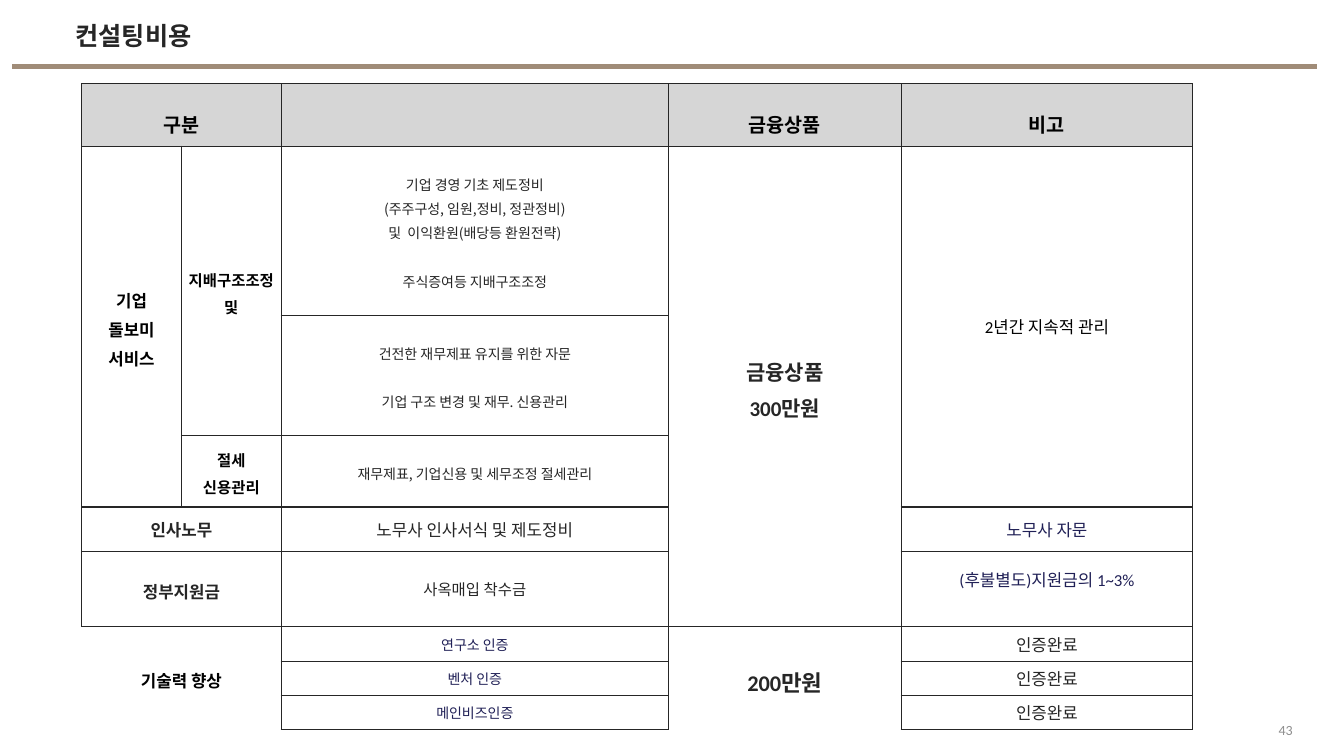
"""Build the consulting fee slide: a title, a rule, a merged fee table and a page number."""
from dataclasses import dataclass

from lxml import etree
from pptx import Presentation
from pptx.dml.color import RGBColor
from pptx.enum.shapes import MSO_CONNECTOR
from pptx.enum.text import MSO_ANCHOR, PP_ALIGN
from pptx.oxml.ns import qn
from pptx.util import Inches, Pt

CENTER, LEFT, RIGHT = PP_ALIGN.CENTER, PP_ALIGN.LEFT, PP_ALIGN.RIGHT
MIDDLE = MSO_ANCHOR.MIDDLE
STRAIGHT = MSO_CONNECTOR.STRAIGHT
TITLE_ONLY = 5


@dataclass(frozen=True)
class Theme:
    """Colours, fonts and type sizes of the slide."""
    black: str = "000000"
    ink: str = "262626"
    navy: str = "202056"
    grey: str = "8E8E8E"
    rule: str = "A08C78"
    header: str = "D6D6D6"
    white: str = "FFFFFF"
    latin: str = "Calibri"
    sans: str = "Noto Sans CJK JP"
    korean: str = "Noto Sans CJK KR"
    title: float = 18
    total: float = 16
    price: float = 15
    head: float = 14
    body: float = 12
    label: float = 11
    small: float = 10


T = Theme()


@dataclass(frozen=True)
class Style:
    """Look of a paragraph."""
    size: float
    color: str = T.ink
    bold: bool = False
    font: str = T.latin
    spacing: float = 1.0
    align: PP_ALIGN = CENTER


@dataclass(frozen=True)
class Entry:
    """A table cell with its span, lines and the lines that follow a gap."""
    row: int
    col: int
    lines: tuple[str, ...]
    style: Style
    rows: int = 1
    cols: int = 1
    fill: str = T.white
    gap_before: tuple[int, ...] = ()
    bottom: float = 0.02
    open_left: bool = False


HEAD = Style(T.head, T.black, True, spacing=1.6)
GROUP = Style(T.body, T.black, True, spacing=1.2)
LABEL = Style(T.label, T.black, True, spacing=1.2)
DETAIL = Style(T.small, font=T.sans, spacing=1.2)
BODY = Style(T.body)
NOTE = Style(T.body, T.navy)
CERT = Style(T.small, T.navy, font=T.sans)

COLUMNS = (0.99, 0.99, 3.84, 2.31, 2.89)
ROWS = (0.62, 1.68, 1.19, 0.71, 0.44, 0.75, 0.34, 0.34, 0.34)
CERTIFICATES = ("연구소 인증", "벤처 인증", "메인비즈인증")
LINE_GAP = 17.4

ENTRIES = [
    Entry(0, 0, ("구분",), HEAD, cols=2, fill=T.header),
    Entry(0, 2, (), HEAD, fill=T.header),
    Entry(0, 3, ("금융상품",), HEAD, fill=T.header),
    Entry(0, 4, ("비고",), HEAD, fill=T.header),
    Entry(1, 0, ("기업", "돌보미", "서비스"), GROUP, rows=3),
    Entry(1, 1, ("지배구조조정 및",), LABEL, rows=2),
    Entry(1, 2, ("기업 경영 기초 제도정비", "(주주구성, 임원,정비, 정관정비)",
                 "및  이익환원(배당등 환원전략)", "주식증여등 지배구조조정"), DETAIL, gap_before=(3,)),
    Entry(1, 3, ("금융상품", "300만원"), Style(T.price, bold=True, spacing=1.2), rows=5),
    Entry(1, 4, ("2년간 지속적 관리",), Style(T.body, T.black), rows=3),
    Entry(2, 2, ("건전한 재무제표 유지를 위한 자문", "기업 구조 변경 및 재무. 신용관리"),
          DETAIL, gap_before=(1,)),
    Entry(3, 1, ("절세", "신용관리"), LABEL),
    Entry(3, 2, ("재무제표, 기업신용 및 세무조정 절세관리",), DETAIL),
    Entry(4, 0, ("인사노무",), Style(T.body, bold=True, font=T.korean), cols=2),
    Entry(4, 2, ("노무사 인사서식 및 제도정비",), Style(T.body, font=T.korean)),
    Entry(4, 4, ("노무사 자문",), NOTE),
    Entry(5, 0, ("정부지원금",), Style(T.body, bold=True, spacing=1.2), cols=2),
    Entry(5, 2, ("사옥매입 착수금",), Style(T.label, font=T.sans)),
    Entry(5, 4, ("(후불별도)지원금의 1~3%",), NOTE, bottom=0.22),
    Entry(6, 0, ("기술력 향상",), GROUP, rows=3, cols=2, open_left=True),
    Entry(6, 3, ("200만원",), Style(T.total, bold=True, spacing=1.2), rows=3),
    *(Entry(6 + i, 2, (name,), CERT) for i, name in enumerate(CERTIFICATES)),
    *(Entry(6 + i, 4, ("인증완료",), BODY) for i in range(len(CERTIFICATES))),
]


def rgb(color: str) -> RGBColor:
    """Turn a hex string into a colour."""
    return RGBColor.from_string(color)


def write(tf, lines: tuple[str, ...], style: Style, gap_before: tuple[int, ...] = ()) -> None:
    """Write one paragraph per line in the given style."""
    for i, line in enumerate(lines):
        p = tf.paragraphs[0] if i == 0 else tf.add_paragraph()
        p.text = line
        p.alignment = style.align
        p.line_spacing = style.spacing
        p.space_before = Pt(LINE_GAP if i in gap_before else 0)
        p.font.size = Pt(style.size)
        p.font.bold = style.bold
        p.font.name = style.font
        p.font.color.rgb = rgb(style.color)
        latin = p.font._element.find(qn("a:latin"))
        ea = etree.Element(qn("a:ea"), typeface=T.korean)
        latin.addnext(ea)


def set_borders(cell, sides: list[str]) -> None:
    """Draw a one-point line on the named sides of a cell, and none on the rest."""
    tc_pr = cell._tc.get_or_add_tcPr()
    for i, side in enumerate("LRTB"):
        ln = etree.Element(qn(f"a:ln{side}"), w=str(Pt(1)))
        if side in sides:
            fill = etree.SubElement(ln, qn("a:solidFill"))
            etree.SubElement(fill, qn("a:srgbClr"), val=T.ink)
        else:
            etree.SubElement(ln, qn("a:noFill"))
        tc_pr.insert(i, ln)


def fill_entry(table, entry: Entry) -> None:
    """Merge, fill, outline and write one table entry."""
    cell = table.cell(entry.row, entry.col)
    last_row, last_col = entry.row + entry.rows - 1, entry.col + entry.cols - 1
    if entry.rows * entry.cols > 1:
        cell.merge(table.cell(last_row, last_col))
    for row in range(entry.row, last_row + 1):
        for col in range(entry.col, last_col + 1):
            part = table.cell(row, col)
            part.fill.solid()
            part.fill.fore_color.rgb = rgb(entry.fill)
            edges = {"L": col == entry.col and not entry.open_left, "R": col == last_col,
                     "T": row == entry.row, "B": row == last_row}
            set_borders(part, [side for side, shown in edges.items() if shown])
    cell.vertical_anchor = MIDDLE
    cell.margin_left = cell.margin_right = Inches(0.07)
    cell.margin_top, cell.margin_bottom = Inches(0.02), Inches(entry.bottom)
    write(cell.text_frame, entry.lines, entry.style, entry.gap_before)


def add_fee_table(s) -> None:
    """Add the fee table."""
    table = s.shapes.add_table(len(ROWS), len(COLUMNS), Inches(0.81), Inches(0.83),
                               Inches(sum(COLUMNS)), Inches(sum(ROWS))).table
    table.first_row = table.horz_banding = False
    for column, width in zip(table.columns, COLUMNS):
        column.width = Inches(width)
    for row, height in zip(table.rows, ROWS):
        row.height = Inches(height)
    for entry in ENTRIES:
        fill_entry(table, entry)


def add_rule(s) -> None:
    """Add the line under the title."""
    line = s.shapes.add_connector(STRAIGHT, Inches(0.12), Inches(0.66), Inches(13.06), Inches(0.66))
    line.line.color.rgb = rgb(T.rule)
    line.line.width = Pt(3)
    etree.SubElement(line._element.spPr, qn("a:effectLst"))


def main() -> None:
    """Build and save the slide."""
    prs = Presentation()
    prs.slide_width, prs.slide_height = Inches(13.33), Inches(7.5)
    s = prs.slides.add_slide(prs.slide_layouts[TITLE_ONLY])
    title = s.shapes.title
    title.left, title.top, title.width, title.height = map(Inches, (0.65, 0.15, 2.65, 0.4))
    title.text_frame.vertical_anchor = MIDDLE
    write(title.text_frame, ("컨설팅비용",), Style(T.title, bold=True, align=LEFT))
    add_rule(s)
    add_fee_table(s)
    number = s.shapes.add_textbox(Inches(12.25), Inches(7.17), Inches(0.67), Inches(0.14)).text_frame
    number.word_wrap = True
    number.vertical_anchor = MIDDLE
    write(number, ("43",), Style(T.small, T.grey, align=RIGHT))
    prs.save("out.pptx")


if __name__ == "__main__":
    main()
